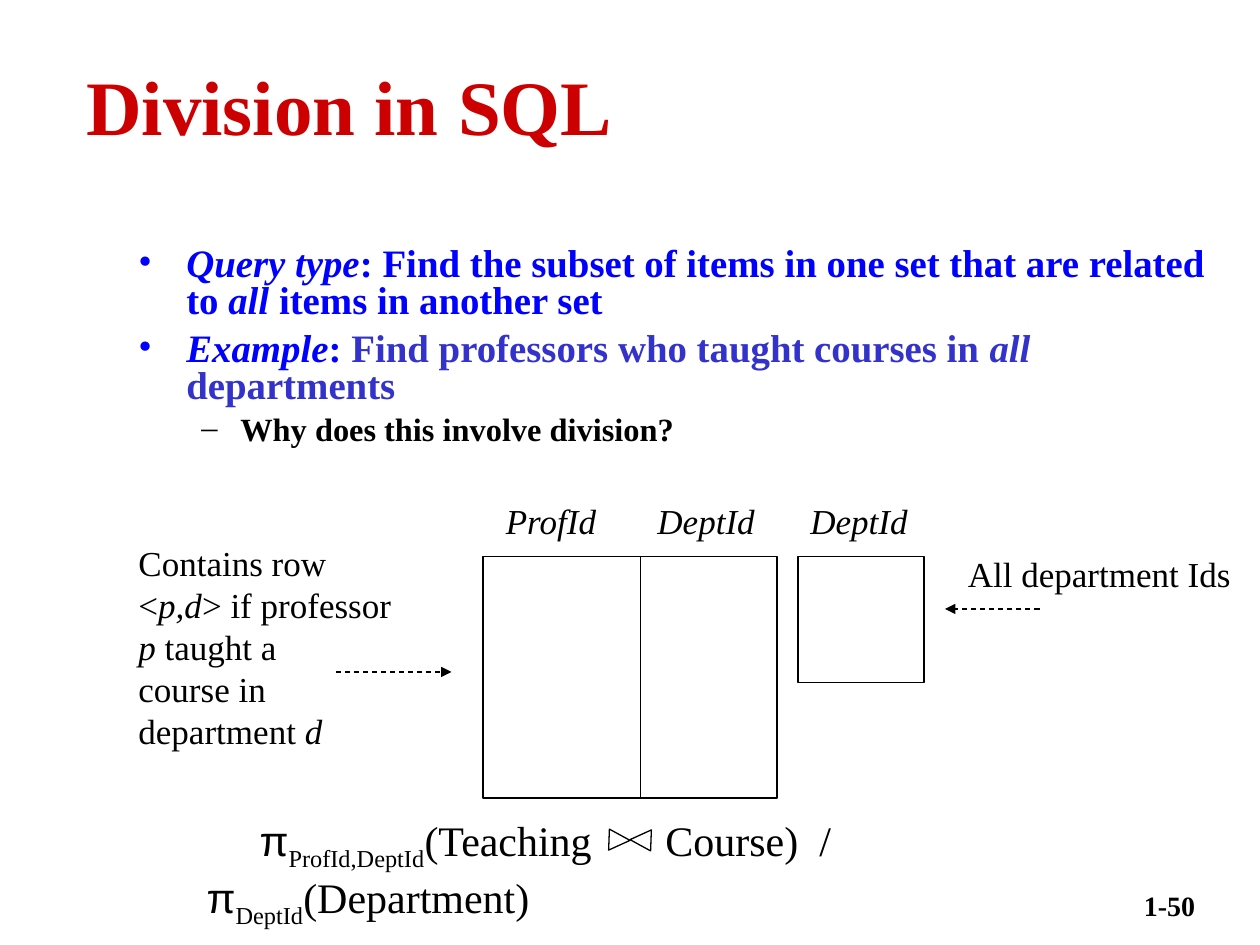
from lxml.etree import SubElement
from pptx import Presentation
from pptx.dml.color import RGBColor
from pptx.enum.dml import MSO_LINE
from pptx.enum.shapes import MSO_CONNECTOR, MSO_SHAPE
from pptx.enum.text import MSO_ANCHOR, PP_ALIGN
from pptx.oxml.ns import qn
from pptx.util import Inches, Pt

COLORS = {"title": "CC0000", "key": "0000FF", "example": "3333CC", "ink": "000000", "paper": "FFFFFF"}
FONT = "Times New Roman"
COLUMNS, ROWS = 120, 90
WIDTH, HEIGHT = Inches(10), Inches(7.5)

TITLE = [[("Division in SQL", {"bold": True})]]
KEY = {"bold": True, "color": "key"}
EXAMPLE = {"bold": True, "color": "example"}
ITALIC = {"italic": True}
SUBSCRIPT = {"subscript": True}
PI = ("π", {"font": "Arial"})

BULLETS = [
    (0, [("Query type", KEY | ITALIC),
         (": Find the subset of items in one set that are related to ", KEY),
         ("all", KEY | ITALIC), (" items in another set", KEY)]),
    (0, [("Example", KEY | ITALIC), (": ", KEY),
         ("Find professors who taught courses in ", EXAMPLE),
         ("all", EXAMPLE | ITALIC), (" departments", EXAMPLE)]),
    (1, [("Why does this involve division?", {"bold": True, "size": 18.5})]),
]
LEVELS = [
    {"character": "•", "color": "key", "margin": 0.38, "indent": -0.38, "before": 6},
    {"character": "–", "color": "ink", "margin": 0.81, "indent": -0.31, "before": 5},
]
LABELS = [
    ((47, 47, 27, 5.3), [[("ProfId", ITALIC), (" ", ITALIC | {"spacing": 30}), ("DeptId", ITALIC)]]),
    ((76, 47, 12, 5.3), [[("DeptId", ITALIC)]]),
    ((91, 52, 29, 5.3), [[("All department Ids", {})]]),
    ((12, 51, 28, 21.2), [
        [("Contains row", {})],
        [("<", {}), ("p,d", ITALIC), ("> if professor", {})],
        [("p", ITALIC), (" taught a", {})],
        [("course in", {})],
        [("department ", {}), ("d", ITALIC)],
    ]),
]
FORMULA = [
    [PI, ("ProfId,DeptId", SUBSCRIPT), ("(Teaching", {}), (" ", {"spacing": 36}),
     ("Course)", {}), (" ", {"spacing": 6}), ("/", {})],
    [PI, ("DeptId", SUBSCRIPT), ("(Department)", {})],
]
RELATIONS = [(46, 53, 28, 23), (76, 53, 12, 12)]
DIVIDER = (61, 53, 61, 76)
ARROWS = [(32, 64, 43, 64), (99, 58, 90, 58)]
JOIN_TRIANGLES = [((58, 79, 2, 2), 92.2), ((60, 79, 2, 2), 272.2)]


def grid(*cells):
    return [round(cell * (HEIGHT / ROWS if index % 2 else WIDTH / COLUMNS))
            for index, cell in enumerate(cells)]


def rgb(name):
    return RGBColor.from_string(COLORS[name])


def write(text_frame, lines, size, color="ink"):
    text_frame.word_wrap = True
    for index, parts in enumerate(lines):
        paragraph = text_frame.add_paragraph() if index else text_frame.paragraphs[0]
        for text, style in parts:
            run = paragraph.add_run()
            run.text = text
            font = run.font
            font.name = style.get("font", FONT)
            font.size = Pt(style.get("size", size))
            font.bold = style.get("bold", False)
            font.italic = style.get("italic", False)
            font.color.rgb = rgb(style.get("color", color))
            properties = run._r.get_or_add_rPr()
            if style.get("subscript"):
                properties.set("baseline", "-25000")
            if "spacing" in style:
                properties.set("spc", str(style["spacing"] * 100))
    return text_frame.paragraphs


def add_text(slide, cells, lines, size):
    box = slide.shapes.add_textbox(*grid(*cells))
    return write(box.text_frame, lines, size)


def add_bullet(paragraph, level):
    paragraph.line_spacing = 0.8
    paragraph.space_before = Pt(level["before"])
    properties = paragraph._p.get_or_add_pPr()
    properties.set("marL", str(Inches(level["margin"])))
    properties.set("indent", str(Inches(level["indent"])))
    color = SubElement(properties, qn("a:buClr"))
    SubElement(color, qn("a:srgbClr"), val=COLORS[level["color"]])
    SubElement(properties, qn("a:buFont"), typeface=FONT)
    SubElement(properties, qn("a:buChar"), char=level["character"])


def add_outline(slide, kind, cells, rotation=0):
    shape = slide.shapes.add_shape(kind, *grid(*cells))
    shape.shadow.inherit = False
    shape.rotation = rotation
    shape.fill.solid()
    shape.fill.fore_color.rgb = rgb("paper")
    shape.line.color.rgb = rgb("ink")
    shape.line.width = Pt(0.75)


def add_line(slide, cells, arrow=False):
    line = slide.shapes.add_connector(MSO_CONNECTOR.STRAIGHT, *grid(*cells))
    line.line.color.rgb = rgb("ink")
    line.line.width = Pt(0.75)
    if arrow:
        line.line.dash_style = MSO_LINE.DASH
        SubElement(line.line._get_or_add_ln(), qn("a:tailEnd"), type="triangle")
    SubElement(line._element.spPr, qn("a:effectLst"))


def main():
    presentation = Presentation()
    presentation.slide_width, presentation.slide_height = WIDTH, HEIGHT
    slide = presentation.slides.add_slide(presentation.slide_layouts[5])

    title = slide.shapes.title
    title.left, title.top, title.width, title.height = grid(7, 7, 107, 6)
    title.text_frame.vertical_anchor = MSO_ANCHOR.MIDDLE
    write(title.text_frame, TITLE, 44, "title")[0].alignment = PP_ALIGN.LEFT

    number = add_text(slide, (103.5, 84, 11.5, 6), [[("1-50", {"bold": True})]], 16)
    number[0].alignment = PP_ALIGN.RIGHT

    paragraphs = add_text(slide, (12, 23, 104, 21), [parts for _, parts in BULLETS], 22.2)
    for paragraph, (level, _) in zip(paragraphs, BULLETS):
        paragraph.level = level
        add_bullet(paragraph, LEVELS[level])

    for cells in RELATIONS:
        add_outline(slide, MSO_SHAPE.RECTANGLE, cells)
    for cells, lines in LABELS:
        add_text(slide, cells, lines, 20)
    add_line(slide, DIVIDER)
    for cells in ARROWS:
        add_line(slide, cells, arrow=True)

    formula = add_text(slide, (18.5, 77, 94, 12), FORMULA, 24)
    formula[0]._p.get_or_add_pPr().set("indent", str(Inches(0.42)))
    for cells, rotation in JOIN_TRIANGLES:
        add_outline(slide, MSO_SHAPE.ISOSCELES_TRIANGLE, cells, rotation)

    presentation.save("out.pptx")


if __name__ == "__main__":
    main()
